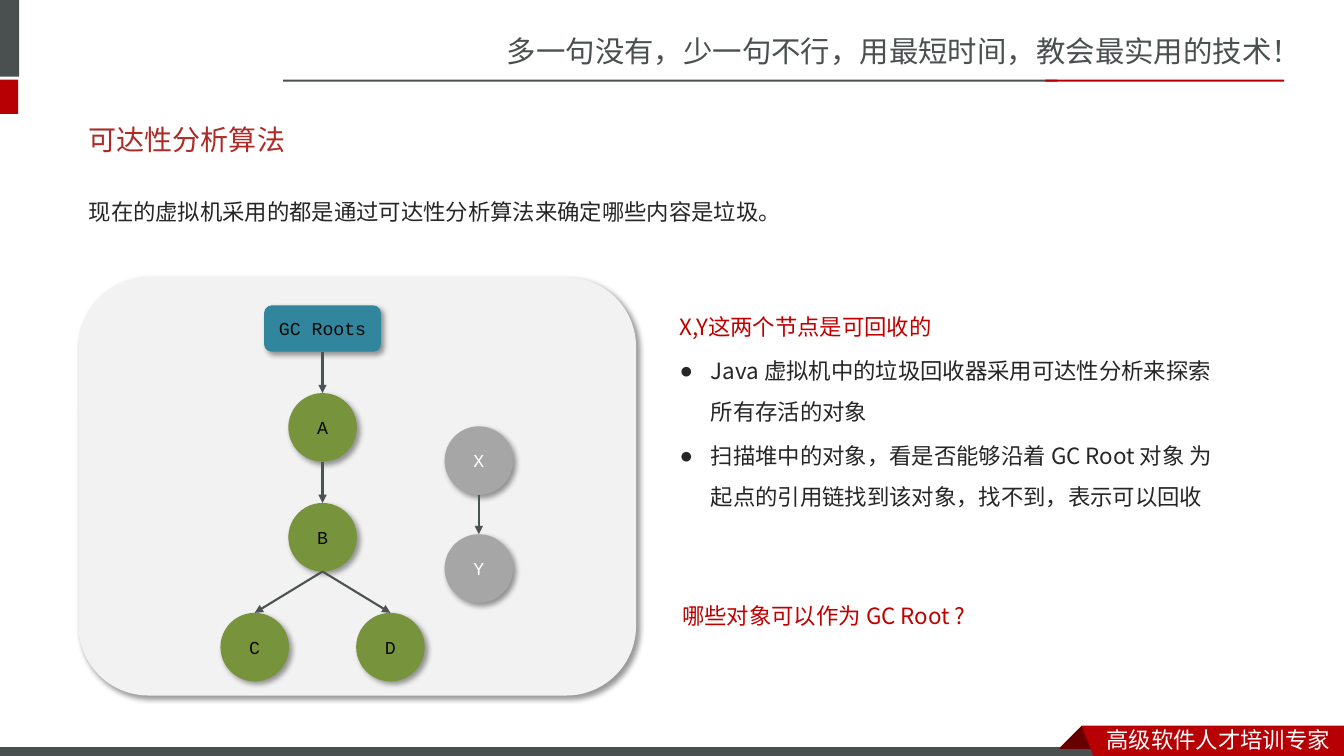
from dataclasses import dataclass

from lxml import etree
from pptx import Presentation
from pptx.dml.color import RGBColor
from pptx.enum.shapes import MSO_CONNECTOR, MSO_SHAPE
from pptx.enum.text import MSO_ANCHOR, MSO_AUTO_SIZE, PP_ALIGN
from pptx.oxml.ns import qn
from pptx.util import Inches, Pt

RECTANGLE, ROUNDED, OVAL = MSO_SHAPE.RECTANGLE, MSO_SHAPE.ROUNDED_RECTANGLE, MSO_SHAPE.OVAL
STRAIGHT = MSO_CONNECTOR.STRAIGHT
TOP, MIDDLE = MSO_ANCHOR.TOP, MSO_ANCHOR.MIDDLE
LEFT, CENTER = PP_ALIGN.LEFT, PP_ALIGN.CENTER
NO_AUTOFIT = MSO_AUTO_SIZE.NONE

COLORS = {
    "gray": "49504F", "red": "B60004", "dark_red": "680000", "white": "FFFFFF",
    "title": "AD2A26", "text": "262626", "accent": "C00000", "panel": "F2F2F2",
    "root": "31859C", "live": "77933C", "dead": "A6A6A6", "label": "080808",
    "arrow": "4C5252", "shadow": "000000",
}
SC, JP, MONO = "Noto Sans CJK SC", "Noto Sans CJK JP", "Courier New"

# The slide is a grid of 40 columns and 30 rows
WIDTH, HEIGHT = Inches(13.33), Inches(7.5)
COLUMN, ROW = WIDTH / 40, HEIGHT / 30


@dataclass(frozen=True)
class Box:
    left: float
    top: float
    width: float
    height: float

    def emu(self) -> tuple:
        return (round(self.left * COLUMN), round(self.top * ROW),
                round(self.width * COLUMN), round(self.height * ROW))


@dataclass(frozen=True)
class Node:
    label: str
    column: float  # centre
    row: float  # centre
    fill: str = "live"
    color: str = "label"
    kind: int = OVAL
    width: float = 2.04
    height: float = 2.72

    def box(self) -> Box:
        return Box(self.column - self.width / 2, self.row - self.height / 2,
                   self.width, self.height)


def rgb(name: str) -> RGBColor:
    return RGBColor.from_string(COLORS[name])


def write(frame, text: str, *, size: float, color: str, font: str = JP,
          east_asian: str = "", align=LEFT, anchor=TOP, spacing: float = 1,
          before: float = 0, bullet: str = "", indent: float = 0,
          append: bool = False) -> None:
    frame.word_wrap, frame.auto_size = True, NO_AUTOFIT
    frame.vertical_anchor = anchor
    paragraph = frame.add_paragraph() if append else frame.paragraphs[0]
    paragraph.alignment, paragraph.line_spacing = align, spacing
    paragraph.space_before = Pt(before)
    properties = paragraph._p.get_or_add_pPr()
    properties.set("marL", str(Inches(indent)))
    properties.set("indent", str(-Inches(indent)))
    if bullet:
        etree.SubElement(properties, qn("a:buChar")).set("char", bullet)
    else:
        etree.SubElement(properties, qn("a:buNone"))
    run = paragraph.add_run()
    run.text = text
    run.font.size, run.font.name, run.font.bold = Pt(size), font, False
    run.font.color.rgb = rgb(color)
    face = etree.SubElement(run._r.get_or_add_rPr(), qn("a:ea"))
    face.set("typeface", east_asian or font)


def paint(shape, fill: str, line: str = "") -> None:
    shape.fill.solid()
    shape.fill.fore_color.rgb = rgb(fill)
    if line:
        shape.line.color.rgb, shape.line.width = rgb(line), Pt(0.75)
    else:
        shape.line.fill.background()
    shape.shadow.inherit = False


def add_block(shapes, kind: int, box: Box, fill: str, line: str = ""):
    shape = shapes.add_shape(kind, *box.emu())
    paint(shape, fill, line)
    return shape


def add_outline(shapes, points: list, fill: str) -> None:
    corners = [(round(x * COLUMN), round(y * ROW)) for x, y in points]
    builder = shapes.build_freeform(*corners[0], scale=1.0)
    builder.add_line_segments(corners[1:], close=True)
    paint(builder.convert_to_shape(), fill)


def add_text(shapes, box: Box, text: str, **style) -> None:
    write(shapes.add_textbox(*box.emu()).text_frame, text, **style)


def place(placeholder, box: Box):
    (placeholder.left, placeholder.top,
     placeholder.width, placeholder.height) = box.emu()
    return placeholder.text_frame


def cast_shadow(shape) -> None:
    effects = shape._element.spPr.find(qn("a:effectLst"))
    shadow = etree.SubElement(effects, qn("a:outerShdw"), blurRad=str(Pt(4)),
                              dist=str(Pt(3)), dir="2700000", algn="tl", rotWithShape="0")
    color = etree.SubElement(shadow, qn("a:srgbClr"), val=COLORS["shadow"])
    etree.SubElement(color, qn("a:alpha"), val="40000")


def add_node(shapes, node: Node) -> None:
    shape = add_block(shapes, node.kind, node.box(), node.fill)
    cast_shadow(shape)
    frame = shape.text_frame
    frame.margin_left = frame.margin_right = 0
    write(frame, node.label, size=13, color=node.color, font=MONO,
          align=CENTER, anchor=MIDDLE)


def add_arrow(shapes, parent: Node, child: Node) -> None:
    start, end = parent.row + parent.height / 2, child.row - child.height / 2
    arrow = shapes.add_connector(
        STRAIGHT, round(parent.column * COLUMN), round(start * ROW),
        round(child.column * COLUMN), round(end * ROW))
    arrow.line.color.rgb, arrow.line.width = rgb("arrow"), Pt(1.5)
    etree.SubElement(arrow.line._get_or_add_ln(), qn("a:tailEnd"), type="triangle")
    etree.SubElement(arrow._element.spPr, qn("a:effectLst"))


presentation = Presentation()
presentation.slide_width, presentation.slide_height = WIDTH, HEIGHT
slide = presentation.slides.add_slide(presentation.slide_layouts[3])
shapes = slide.shapes

# Header and footer bands
for box, fill, line in [
    (Box(0, 0, 0.57, 3.04), "gray", ""),
    (Box(0, 3.16, 0.54, 1.36), "red", ""),
    (Box(8.43, 3.16, 23.04, 0.08), "gray", ""),
    (Box(31.11, 3.16, 7.11, 0.08), "red", ""),
    (Box(-0.03, 29.64, 33, 0.48), "gray", "white"),
]:
    add_block(shapes, RECTANGLE, box, fill, line)
add_text(shapes, Box(14.79, 1.12, 25.21, 1.88),
         "多一句没有，少一句不行，用最短时间，教会最实用的技术！", size=21, color="gray", font=SC)

# Footer ribbon
add_outline(shapes, [(32.19, 28.8), (32.85, 29.68), (32.82, 29.72),
                     (31.56, 29.72), (31.53, 29.68)], "dark_red")
add_outline(shapes, [(32.19, 28.8), (40, 28.8), (40, 30.16), (32.58, 30.12)], "red")
add_text(shapes, Box(32.64, 28.6, 7.36, 1.48), "高级软件人才培训专家",
         size=16, color="white", font=SC)

# Title, introduction and list
BODY = {"size": 16, "spacing": 1.5, "before": 3.2}
BULLET = {"bullet": "●", "indent": 0.31, "append": True}
write(place(shapes.title, Box(2.34, 4.4, 35.1, 2.28)), "可达性分析算法",
      size=20, color="title", font="Arial", east_asian=SC, anchor=MIDDLE)
write(place(slide.placeholders[1], Box(2.34, 7.12, 35.1, 3)),
      "现在的虚拟机采用的都是通过可达性分析算法来确定哪些内容是垃圾。", color="text", **BODY)
findings = place(slide.placeholders[2], Box(19.93, 11.68, 17.05, 9.08))
write(findings, "X,Y这两个节点是可回收的", color="accent", **BODY)
for item in ["Java 虚拟机中的垃圾回收器采用可达性分析来探索所有存活的对象",
             "扫描堆中的对象，看是否能够沿着 GC Root 对象 为起点的引用链找到该对象，"
             "找不到，表示可以回收"]:
    write(findings, item, color="text", **BODY, **BULLET)
add_text(shapes, Box(20.01, 23.16, 17.16, 2.36), "哪些对象可以作为 GC Root ?",
         color="accent", **BODY)

# Reachability diagram
TRUNK, BRANCH, LEVEL, FIRST = 9.6, 2.02, 4.36, 16.96
root = Node("GC Roots", TRUNK, 13.04, "root", kind=ROUNDED, width=3.48, height=1.84)
node_a = Node("A", TRUNK, FIRST)
node_b = Node("B", TRUNK, FIRST + LEVEL)
node_c = Node("C", TRUNK - BRANCH, FIRST + 2 * LEVEL)
node_d = Node("D", TRUNK + BRANCH, FIRST + 2 * LEVEL)
node_x = Node("X", 14.25, 18.28, "dead", "white")
node_y = Node("Y", 14.25, 22.56, "dead", "white")

diagram = shapes.add_group_shape().shapes
cast_shadow(add_block(diagram, ROUNDED, Box(2.34, 11, 16.59, 16.6), "panel"))
for node in [root, node_a, node_b, node_c, node_x, node_d, node_y]:
    add_node(diagram, node)
for parent, child in [(root, node_a), (node_a, node_b), (node_b, node_c),
                      (node_b, node_d), (node_x, node_y)]:
    add_arrow(diagram, parent, child)

presentation.save("out.pptx")
